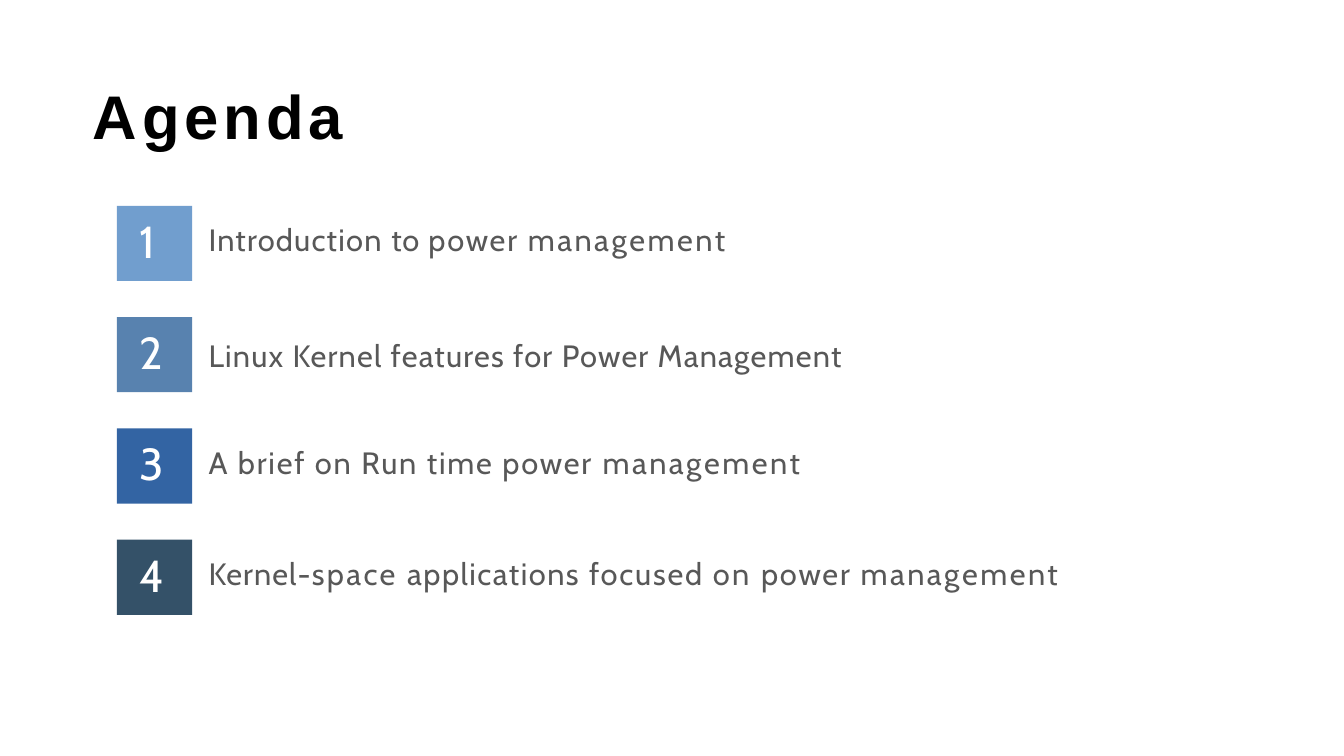
import pptx
import pptx.util
import pptx.dml.color
import pptx.enum.shapes
import pptx.enum.text
from dataclasses import dataclass

Pt = pptx.util.Pt
RGB = pptx.dml.color.RGBColor.from_string

TITLE = [("Agenda", 3.5)]

# Each item: square colour, text drop below the square's top, (words, letter spacing)
ITEMS = [
    ("719ECE", 10, [("Introduction ", 0.9), ("to ", 0.7), ("power ", 1.3),
                    ("management", 1.8)]),
    ("5882AF", 13, [("Linux Kernel features for Power Management", 0.9)]),
    ("3364A3", 10, [("A brief on Run time power ", 1.3), ("management", 1.8)]),
    ("345168", 10, [("Kernel-", 0.8), ("space ", 1.7), ("applications ", 1.1),
                    ("focused ", 1.3), ("on ", 1.7), ("power ", 1.3),
                    ("management", 1.8)]),
]


@dataclass(frozen=True)
class Theme:
    head: str = "Arial"
    body: str = "Cabin"
    black: str = "000000"
    grey: str = "585858"
    white: str = "FFFFFF"
    big: float = 44
    digit: float = 32
    text: float = 22


THEME = Theme()
LEFT, TOP, SIDE, STEP = 83.5, 147, 53.75, 79.5


def write(shape, runs, font=THEME.body, size=THEME.text, color=THEME.grey,
          bold=False, anchor="TOP"):
    """Fill a shape with one line made of (text, letter spacing) runs."""
    frame = shape.text_frame
    frame.word_wrap = True
    frame.auto_size = pptx.enum.text.MSO_AUTO_SIZE.NONE
    frame.vertical_anchor = pptx.enum.text.MSO_ANCHOR[anchor]
    frame.margin_left = frame.margin_right = frame.margin_bottom = 0
    frame.margin_top = Pt(1)
    line = frame.paragraphs[0]
    line.alignment = pptx.enum.text.PP_ALIGN.LEFT
    for words, gap in runs:
        run = line.add_run()
        run.text = words
        run.font.name = font
        run.font.size = Pt(size)
        run.font.bold = bold
        run.font.color.rgb = RGB(color)
        run._r.get_or_add_rPr().set("spc", str(round(gap * 100)))


def place(shape, left, top, width, height):
    shape.left, shape.top = Pt(left), Pt(top)
    shape.width, shape.height = Pt(width), Pt(height)


def add_box(slide, left, top, width, height, runs, **style):
    box = slide.shapes.add_textbox(Pt(left), Pt(top), Pt(width), Pt(height))
    write(box, runs, **style)


def add_square(slide, top, color):
    square = slide.shapes.add_shape(
        pptx.enum.shapes.MSO_SHAPE.RECTANGLE, Pt(LEFT), Pt(top), Pt(SIDE), Pt(SIDE))
    square.shadow.inherit = False
    square.fill.solid()
    square.fill.fore_color.rgb = RGB(color)
    square.line.fill.background()


def main():
    deck = pptx.Presentation()
    deck.slide_width, deck.slide_height = Pt(960), Pt(540)
    slide = deck.slides.add_slide(deck.slide_layouts[5])

    title = slide.shapes.title
    place(title, 66.25, 29, 828, 104.5)
    write(title, TITLE, font=THEME.head, size=THEME.big, color=THEME.black,
          bold=True, anchor="MIDDLE")

    for row, (color, drop, runs) in enumerate(ITEMS):
        top = TOP + row * STEP
        add_square(slide, top, color)
        add_box(slide, LEFT + 16, top + 4.5, 22.5, 40, [(str(row + 1), 3)],
                size=THEME.digit, color=THEME.white)
        add_box(slide, LEFT + 65.5, top + drop, 684, 28, runs)

    deck.save("out.pptx")


if __name__ == "__main__":
    main()
